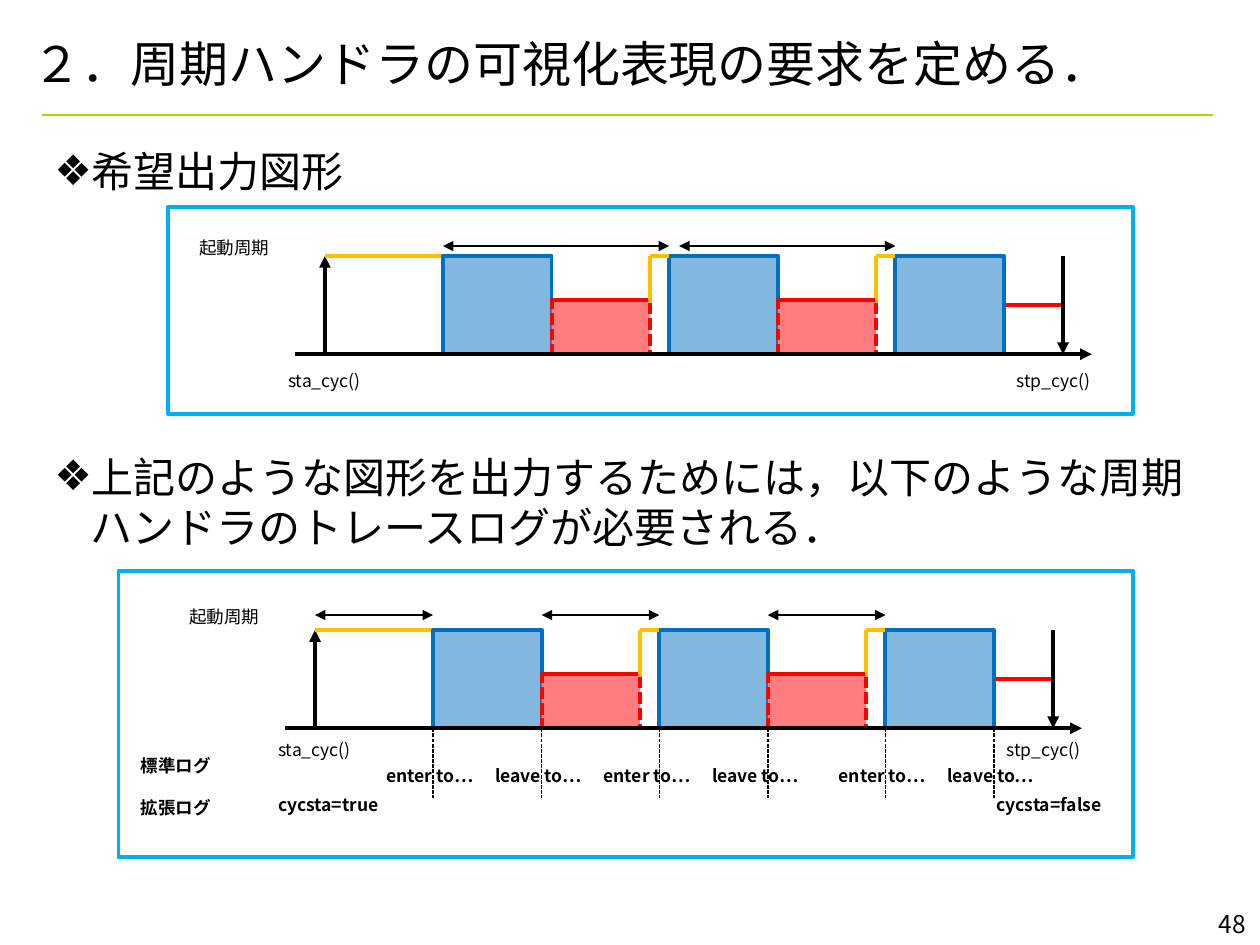
from lxml import etree
from pptx import Presentation
from pptx.dml.color import RGBColor
from pptx.enum.dml import MSO_LINE
from pptx.enum.shapes import MSO_CONNECTOR, MSO_SHAPE
from pptx.enum.text import MSO_ANCHOR, MSO_AUTO_SIZE, PP_ALIGN
from pptx.oxml.ns import qn
from pptx.util import Cm, Pt

STRAIGHT, RECTANGLE = MSO_CONNECTOR.STRAIGHT, MSO_SHAPE.RECTANGLE
DASH = MSO_LINE.SQUARE_DOT
LEFT, RIGHT = PP_ALIGN.LEFT, PP_ALIGN.RIGHT
MIDDLE, TOP = MSO_ANCHOR.MIDDLE, MSO_ANCHOR.TOP
NO_FIT, GROW = MSO_AUTO_SIZE.NONE, MSO_AUTO_SIZE.SHAPE_TO_FIT_TEXT

BLACK = RGBColor(0x00, 0x00, 0x00)
GREEN = RGBColor(0xA4, 0xDE, 0x00)
SKY = RGBColor(0x00, 0xB0, 0xF0)
BLUE = RGBColor(0x00, 0x70, 0xC0)
YELLOW = RGBColor(0xFF, 0xC0, 0x00)
RED = RGBColor(0xFF, 0x00, 0x00)
PINK = RGBColor(0xFF, 0x7C, 0x80)

# Timing chart, in cm from the start of the cycle
BLOCK_STARTS = [2.38 + 4.56 * index for index in range(3)]
BLOCK_WIDTH, BLOCK_HEIGHT = 2.19, 1.98
WAIT_WIDTH, WAIT_HEIGHT = 1.98, 1.09
STOP = 14.88


def set_all(target, values):
    for name, value in values.items():
        setattr(target, name, value)


class SlideBuilder:
    font_name = "Noto Sans CJK JP"
    thin, thick = 0.75, 2.25

    def __init__(self, slide):
        self.slide = slide

    def add_text(self, paragraph, text, size, bold=False):
        run = paragraph.add_run()
        run.text = text
        set_all(run.font, {"size": Pt(size), "bold": bold, "name": self.font_name})
        run.font.color.rgb = BLACK
        latin = run.font._element.find(qn("a:latin"))
        east_asian = etree.Element(qn("a:ea"), typeface=self.font_name)
        latin.addnext(east_asian)

    def place(self, shape, left, top, width, height):
        set_all(shape, {"left": Cm(left), "top": Cm(top),
                        "width": Cm(width), "height": Cm(height)})

    def title(self, text, *box):
        shape = self.slide.shapes.title
        self.place(shape, *box)
        set_all(shape.text_frame, {"vertical_anchor": MIDDLE, "auto_size": NO_FIT})
        paragraph = shape.text_frame.paragraphs[0]
        paragraph.alignment = LEFT
        self.add_text(paragraph, text, 28)

    def bullets(self, items, *box):
        """Items are pairs of text and space before in points."""
        shape = self.slide.placeholders[1]
        self.place(shape, *box)
        frame = shape.text_frame
        set_all(frame, {"vertical_anchor": TOP, "auto_size": NO_FIT,
                        "margin_top": Cm(0.2)})
        for index, (text, space) in enumerate(items):
            paragraph = frame.add_paragraph() if index else frame.paragraphs[0]
            properties = paragraph._p.get_or_add_pPr()
            properties.set("marL", str(Cm(0.74)))
            properties.set("indent", str(-Cm(0.74)))
            color = etree.SubElement(properties, qn("a:buClr"))
            etree.SubElement(color, qn("a:srgbClr"), val=str(BLACK))
            etree.SubElement(properties, qn("a:buChar"), char="❖")
            set_all(paragraph, {"alignment": LEFT, "space_before": Pt(space),
                                "line_spacing": Pt(28.6)})
            self.add_text(paragraph, text, 24)

    def label(self, text, left, top, width, height=0.69, size=10, bold=False,
              align=LEFT):
        shape = self.slide.shapes.add_textbox(Cm(left), Cm(top), Cm(width), Cm(height))
        set_all(shape.text_frame, {"word_wrap": True, "auto_size": GROW})
        paragraph = shape.text_frame.paragraphs[0]
        paragraph.alignment = align
        self.add_text(paragraph, text, size, bold)

    def line(self, x1, y1, x2, y2, color=BLACK, width=thick, dash=None, arrows=()):
        connector = self.slide.shapes.add_connector(
            STRAIGHT, Cm(x1), Cm(y1), Cm(x2), Cm(y2))
        connector.line.color.rgb = color
        set_all(connector.line, {"width": Pt(width), "dash_style": dash})
        outline = connector.line._get_or_add_ln()
        for end in arrows:
            etree.SubElement(outline, qn(f"a:{end}End"), type="triangle")
        etree.SubElement(connector._element.spPr, qn("a:effectLst"))

    def box(self, left, top, width, height, color, fill=None, opacity=None, dash=None):
        shape = self.slide.shapes.add_shape(
            RECTANGLE, Cm(left), Cm(top), Cm(width), Cm(height))
        shape.shadow.inherit = False
        shape.line.color.rgb = color
        set_all(shape.line, {"width": Pt(self.thick), "dash_style": dash})
        if fill is None:
            shape.fill.background()
            return
        shape.fill.solid()
        shape.fill.fore_color.rgb = fill
        if opacity:
            value = shape._element.spPr.find(qn("a:solidFill"))[0]
            etree.SubElement(value, qn("a:alpha"), val=str(opacity * 1000))

    def timing_chart(self, left, top, periods, arrow_gap, label_top):
        base = top + BLOCK_HEIGHT
        # Period label and spans
        for start, end in periods:
            self.line(left + start, top - arrow_gap, left + end, top - arrow_gap,
                      width=self.thin, arrows=("head", "tail"))
        self.label("起動周期", left - 2.78, top - arrow_gap - 0.31, 2.18)
        # Start and stop calls
        self.label("sta_cyc()", left - 0.99, label_top, 2.18)
        self.label("stp_cyc()", left + 13.69, label_top, 2.18)
        self.line(left, base, left, top, arrows=("tail",))
        self.line(left, top, left + BLOCK_STARTS[0], top, YELLOW)
        self.line(left + BLOCK_STARTS[-1] + BLOCK_WIDTH, top + 0.99,
                  left + STOP, top + 0.99, RED)
        self.line(left + STOP, top, left + STOP, base, arrows=("tail",))
        # Running blocks
        for start in BLOCK_STARTS:
            self.box(left + start, top, BLOCK_WIDTH, BLOCK_HEIGHT, BLUE, BLUE, 49)
        # Waiting blocks, each followed by a rise to the next running block
        for start, following in zip(BLOCK_STARTS, BLOCK_STARTS[1:]):
            wait = left + start + BLOCK_WIDTH
            wait_top, wait_end = base - WAIT_HEIGHT, wait + WAIT_WIDTH
            self.line(wait_end, top + 0.99, wait_end, top, YELLOW)
            self.line(wait_end, top, left + following, top, YELLOW)
            self.box(wait, wait_top, WAIT_WIDTH, WAIT_HEIGHT, RED, PINK, dash=DASH)
            self.line(wait, wait_top, wait_end - 0.05, wait_top, RED)
        # Time axis
        self.line(left - 0.6, base, left + 15.46, base, arrows=("tail",))


def main():
    presentation = Presentation()
    set_all(presentation, {"slide_width": Cm(25.4), "slide_height": Cm(19.05)})
    builder = SlideBuilder(
        presentation.slides.add_slide(presentation.slide_layouts[1]))

    # Heading, text and page number
    builder.line(0.84, 2.32, 24.46, 2.32, GREEN, 1.5)
    builder.label("48", 23.06, 18.21, 2.31, 0.84, size=14, align=RIGHT)
    builder.title("２．周期ハンドラの可視化表現の要求を定める．", 0.41, 0.64, 24.41, 1.27)
    builder.bullets([
        ("希望出力図形", 0),
        ("上記のような図形を出力するためには，以下のような周期"
         "ハンドラのトレースログが必要される．", 146),
    ], 0.84, 2.74, 23.5, 15.24)

    # Desired output
    first, second, third = BLOCK_STARTS
    builder.timing_chart(6.55, 5.16, [(first, second), (second + 0.2, third)],
                         0.2, 7.34)
    builder.box(3.38, 4.17, 19.46, 4.17, SKY)

    # Log events at both edges of every running block
    left, top = 6.35, 12.7
    events = [(left + start + shift, text) for start in BLOCK_STARTS
              for shift, text in ((0, "enter to…"), (BLOCK_WIDTH, "leave to…"))]
    label_lefts = [7.54 + 2.19 * index for index in range(4)] + [16.66, 18.85]
    for (x, text), label_left in zip(events, label_lefts):
        builder.line(x, 14.68, x, 16.08, width=builder.thin, dash=DASH)
        builder.label(text, label_left, 15.29, 2.5, bold=True)
    for text, label_left, label_top, width in (
            ("標準ログ", 2.59, 15.09, 3.38), ("拡張ログ", 2.59, 15.95, 3.38),
            ("cycsta=true", 5.36, 15.88, 2.6), ("cycsta=false", 19.84, 15.88, 2.78)):
        builder.label(text, label_left, label_top, width, bold=True)

    # Trace log needed for the output
    idle = [(0, first), (first + BLOCK_WIDTH, second), (second + BLOCK_WIDTH, third)]
    builder.timing_chart(left, top, idle, 0.3, 14.78)
    builder.box(2.39, 11.51, 20.45, 5.77, SKY)

    presentation.save("out.pptx")


if __name__ == "__main__":
    main()
